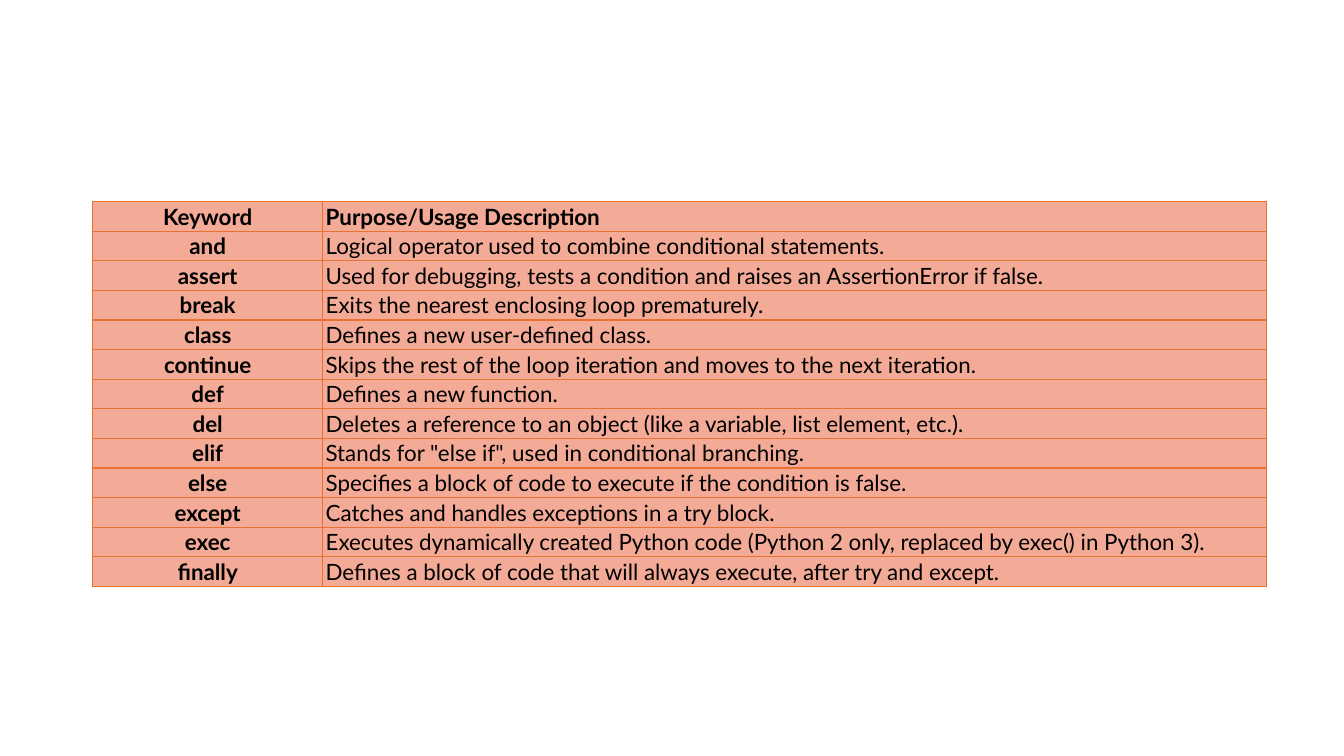
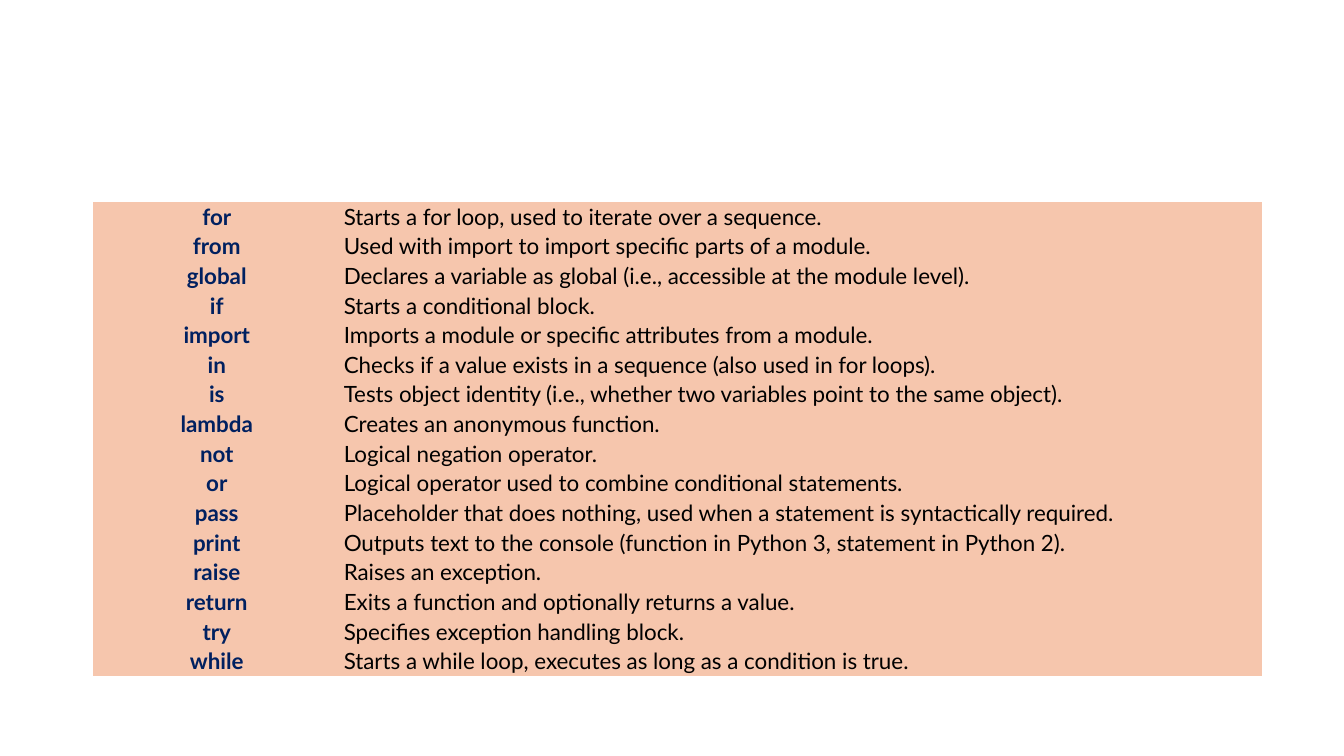
import pptx
import pptx.dml.color
import pptx.enum.text
import pptx.oxml.ns
import pptx.util
import lxml.etree

RGB = pptx.dml.color.RGBColor
ALIGN = pptx.enum.text.PP_ALIGN
BLACK = RGB(0x00, 0x00, 0x00)
NAVY = RGB(0x00, 0x20, 0x60)
ORANGE = RGB(0xE9, 0x71, 0x32)
CORAL = RGB(0xF3, 0xAB, 0x97)
PEACH = RGB(0xF6, 0xC6, 0xAD)
FONT = "Lato"
SCALE = 9144
LEFT, TOP = 92, 200

HEAD = ("Keyword", "Purpose/Usage Description")
FIRST = [
    HEAD,
    ("and", "Logical operator used to combine conditional statements."),
    ("assert", "Used for debugging, tests a condition and raises an AssertionError if false."),
    ("break", "Exits the nearest enclosing loop prematurely."),
    ("class", "Defines a new user-defined class."),
    ("continue", "Skips the rest of the loop iteration and moves to the next iteration."),
    ("def", "Defines a new function."),
    ("del", "Deletes a reference to an object (like a variable, list element, etc.)."),
    ("elif", 'Stands for "else if", used in conditional branching.'),
    ("else", "Specifies a block of code to execute if the condition is false."),
    ("except", "Catches and handles exceptions in a try block."),
    ("exec", "Executes dynamically created Python code (Python 2 only, replaced by exec() in Python 3)."),
    ("finally", "Defines a block of code that will always execute, after try and except."),
]
SECOND = [
    ("for", "Starts a for loop, used to iterate over a sequence."),
    ("from", "Used with import to import specific parts of a module."),
    ("global", "Declares a variable as global (i.e., accessible at the module level)."),
    ("if", "Starts a conditional block."),
    ("import", "Imports a module or specific attributes from a module."),
    ("in", "Checks if a value exists in a sequence (also used in for loops)."),
    ("is", "Tests object identity (i.e., whether two variables point to the same object)."),
    ("lambda", "Creates an anonymous function."),
    ("not", "Logical negation operator."),
    ("or", "Logical operator used to combine conditional statements."),
    ("pass", "Placeholder that does nothing, used when a statement is syntactically required."),
    ("print", "Outputs text to the console (function in Python 3, statement in Python 2)."),
    ("raise", "Raises an exception."),
    ("return", "Exits a function and optionally returns a value."),
    ("try", "Specifies exception handling block."),
    ("while", "Starts a while loop, executes as long as a condition is true."),
]


def px(count):
    return pptx.util.Emu(count * SCALE)


def write(frame, text, size=16, bold=False, color=BLACK, align=ALIGN.LEFT):
    para = frame.paragraphs[0]
    para.alignment = align
    run = para.add_run()
    run.text = text
    run.font.name = FONT
    run.font.size = pptx.util.Pt(size)
    run.font.bold = bold
    run.font.color.rgb = color


def edge(cell, color):
    props = cell._tc.get_or_add_tcPr()
    qn = pptx.oxml.ns.qn
    for side in ("a:lnL", "a:lnR", "a:lnT", "a:lnB"):
        line = lxml.etree.SubElement(props, qn(side), w=str(pptx.util.Pt(1)))
        if color is None:
            lxml.etree.SubElement(line, qn("a:noFill"))
        else:
            fill = lxml.etree.SubElement(line, qn("a:solidFill"))
            lxml.etree.SubElement(fill, qn("a:srgbClr"), val=str(color))


def box(cell, fill, border):
    edge(cell, border)
    cell.fill.solid()
    cell.fill.fore_color.rgb = fill
    cell.vertical_anchor = pptx.enum.text.MSO_ANCHOR.MIDDLE
    cell.margin_left = cell.margin_right = px(3)
    cell.margin_top = cell.margin_bottom = px(1)


def grid(deck, rows, widths, height, fill, border=None, color=BLACK):
    slide = deck.slides.add_slide(deck.slide_layouts[6])
    table = slide.shapes.add_table(
        len(rows), len(widths), px(LEFT), px(TOP), px(sum(widths)), px(height)
    ).table
    table.first_row = table.horz_banding = False
    for column, width in zip(table.columns, widths):
        column.width = px(width)
    for row, (word, use) in zip(table.rows, rows):
        left, right = row.cells
        for cell in (left, right):
            box(cell, fill, border)
        write(left.text_frame, word, bold=True, color=color, align=ALIGN.CENTER)
        write(right.text_frame, use, bold=(word, use) == HEAD)


def main():
    deck = pptx.Presentation()
    deck.slide_width, deck.slide_height = px(1333), px(750)
    grid(deck, FIRST, (228, 936), 382, CORAL, border=ORANGE)
    grid(deck, SECOND, (246, 914), 471, PEACH, color=NAVY)
    deck.save("out.pptx")


if __name__ == "__main__":
    main()
